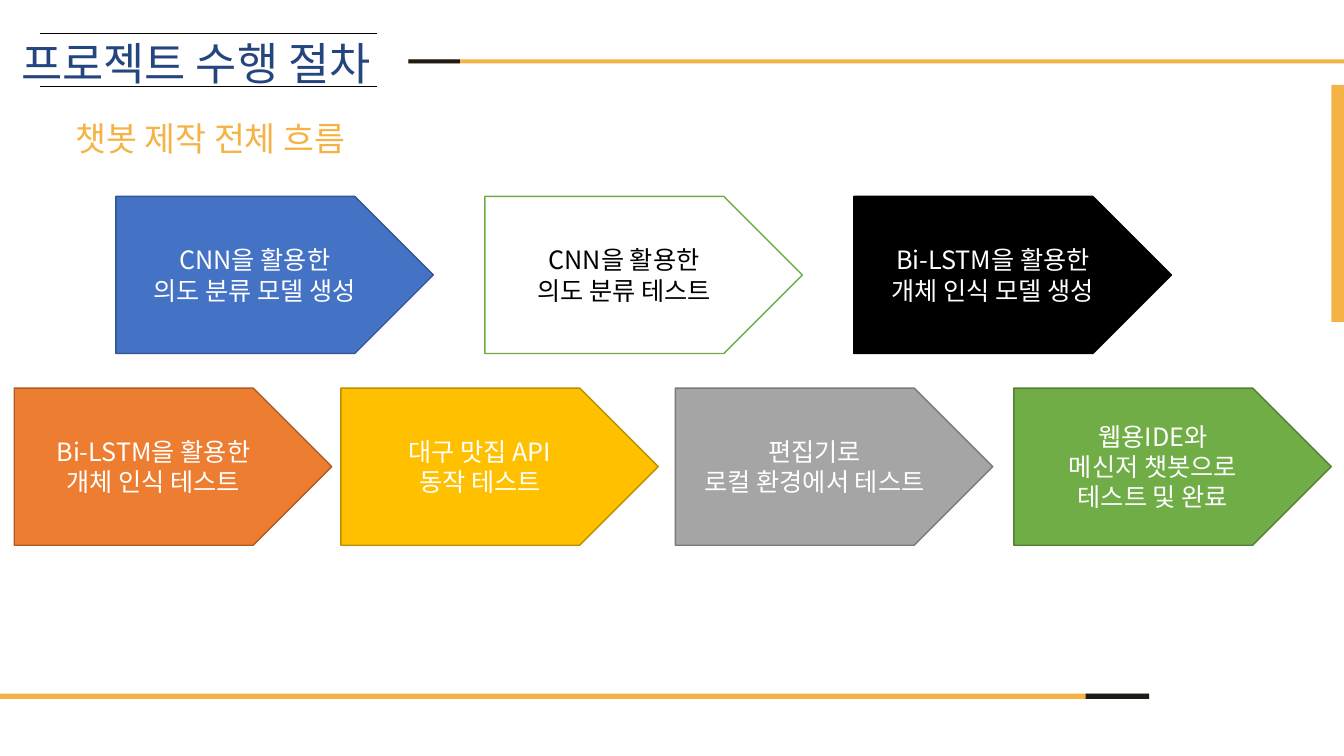
import pptx
import pptx.util
import pptx.dml.color
import pptx.enum.shapes
import pptx.enum.text
import pptx.oxml
import pptx.oxml.ns
from pptx.util import Cm

FONT = "Noto Sans CJK KR"
GOLD, BLACK, NAVY = "F5B345", "1B1C1B", "25457E"
SHAPE = pptx.enum.shapes.MSO_SHAPE
ALIGN = pptx.enum.text.PP_ALIGN
ANCHOR = pptx.enum.text.MSO_ANCHOR

STEP_WIDTH, STEP_HEIGHT = 8, 3.96
FIRST_ROW_LEFT, FIRST_ROW_PITCH, FIRST_ROW_TOP = 2.92, 9.3, 4.95
SECOND_ROW_LEFTS, SECOND_ROW_TOP = (0.36, 8.59, 17.02, 25.55), 9.78

# Each step: lines of text, fill, outline, text colour
FIRST_ROW = [
    (["CNN을 활용한", "의도 분류 모델 생성"], "4472C4", "325491", "FFFFFF"),
    (["CNN을 활용한", "의도 분류 테스트"], "FFFFFF", "70AD47", "000000"),
    (["Bi-LSTM을 활용한", "개체 인식 모델 생성"], "000000", "000000", "FFFFFF"),
]
SECOND_ROW = [
    (["Bi-LSTM을 활용한", "개체 인식 테스트"], "ED7D31", "AF5C24", "FFFFFF"),
    (["대구 맛집 API", "동작 테스트"], "FFC000", "BD8E00", "FFFFFF"),
    (["편집기로", "로컬 환경에서 테스트"], "A5A5A5", "7A7A7A", "FFFFFF"),
    (["웹용IDE와", "메신저 챗봇으로", "테스트 및 완료"], "70AD47", "538035", "FFFFFF"),
]


def rgb(value):
    return pptx.dml.color.RGBColor.from_string(value)


def add_run(paragraph, text, size, color):
    run = paragraph.add_run()
    run.text = text
    run.font.size = pptx.util.Pt(size)
    run.font.color.rgb = rgb(color)
    run.font.name = FONT
    # Hangul takes its typeface from the East Asian font
    east_asian = pptx.oxml.parse_xml(
        f'<a:ea {pptx.oxml.ns.nsdecls("a")} typeface="{FONT}"/>')
    run.font._element.find(pptx.oxml.ns.qn("a:latin")).addnext(east_asian)


def add_bar(slide, left, top, width, height, color):
    bar = slide.shapes.add_shape(
        SHAPE.RECTANGLE, Cm(left), Cm(top), Cm(width), Cm(height))
    bar.shadow.inherit = False
    bar.fill.solid()
    bar.fill.fore_color.rgb = rgb(color)
    bar.line.fill.background()


def add_title_rule(slide, top):
    rule = slide.shapes.add_connector(
        pptx.enum.shapes.MSO_CONNECTOR.STRAIGHT, Cm(1.02), Cm(top), Cm(9.5), Cm(top))
    rule.line.color.rgb = rgb("040000")
    rule.line.width = pptx.util.Pt(0.38)
    rule._element.spPr.append(pptx.oxml.parse_xml(
        f'<a:effectLst {pptx.oxml.ns.nsdecls("a")}/>'))


def write_heading(shape, text, size, color):
    frame = shape.text_frame
    frame.margin_left = frame.margin_right = 0
    frame.margin_top = frame.margin_bottom = 0
    frame.word_wrap = False
    frame.auto_size = pptx.enum.text.MSO_AUTO_SIZE.SHAPE_TO_FIT_TEXT
    frame.vertical_anchor = ANCHOR.TOP
    frame.paragraphs[0].alignment = ALIGN.LEFT
    add_run(frame.paragraphs[0], text, size, color)


def add_step(slide, left, top, lines, fill, outline, text_color):
    step = slide.shapes.add_shape(
        SHAPE.PENTAGON, Cm(left), Cm(top), Cm(STEP_WIDTH), Cm(STEP_HEIGHT))
    step.shadow.inherit = False
    step.fill.solid()
    step.fill.fore_color.rgb = rgb(fill)
    step.line.color.rgb = rgb(outline)
    step.line.width = pptx.util.Pt(1)
    frame = step.text_frame
    frame.word_wrap = True
    frame.vertical_anchor = ANCHOR.MIDDLE
    for index, line in enumerate(lines):
        paragraph = frame.add_paragraph() if index else frame.paragraphs[0]
        paragraph.alignment = ALIGN.CENTER
        add_run(paragraph, line, 18, text_color)


def main():
    presentation = pptx.Presentation()
    presentation.slide_width, presentation.slide_height = Cm(33.87), Cm(19.05)
    slide = presentation.slides.add_slide(presentation.slide_layouts[5])

    # Decorative bars
    add_bar(slide, 33.55, 2.14, 0.32, 5.97, GOLD)
    add_bar(slide, 10.29, 1.5, 23.58, 0.1, GOLD)
    add_bar(slide, 10.29, 1.5, 1.3, 0.1, BLACK)
    add_bar(slide, 0, 17.48, 28.96, 0.13, GOLD)
    add_bar(slide, 27.36, 17.48, 1.6, 0.13, BLACK)

    # Title between two thin rules, and subtitle
    title = slide.shapes.title
    title.left, title.top = Cm(0.53), Cm(0.89)
    title.width, title.height = Cm(9.42), Cm(1.37)
    write_heading(title, "프로젝트 수행 절차", 32, NAVY)
    for top in (0.84, 2.18):
        add_title_rule(slide, top)
    subtitle = slide.shapes.add_textbox(Cm(1.9), Cm(2.97), Cm(7.32), Cm(1.02))
    write_heading(subtitle, "챗봇 제작 전체 흐름", 24, GOLD)

    # Two rows of process steps
    for index, step in enumerate(FIRST_ROW):
        add_step(slide, FIRST_ROW_LEFT + index * FIRST_ROW_PITCH, FIRST_ROW_TOP, *step)
    for left, step in zip(SECOND_ROW_LEFTS, SECOND_ROW):
        add_step(slide, left, SECOND_ROW_TOP, *step)

    presentation.save("out.pptx")


if __name__ == "__main__":
    main()
